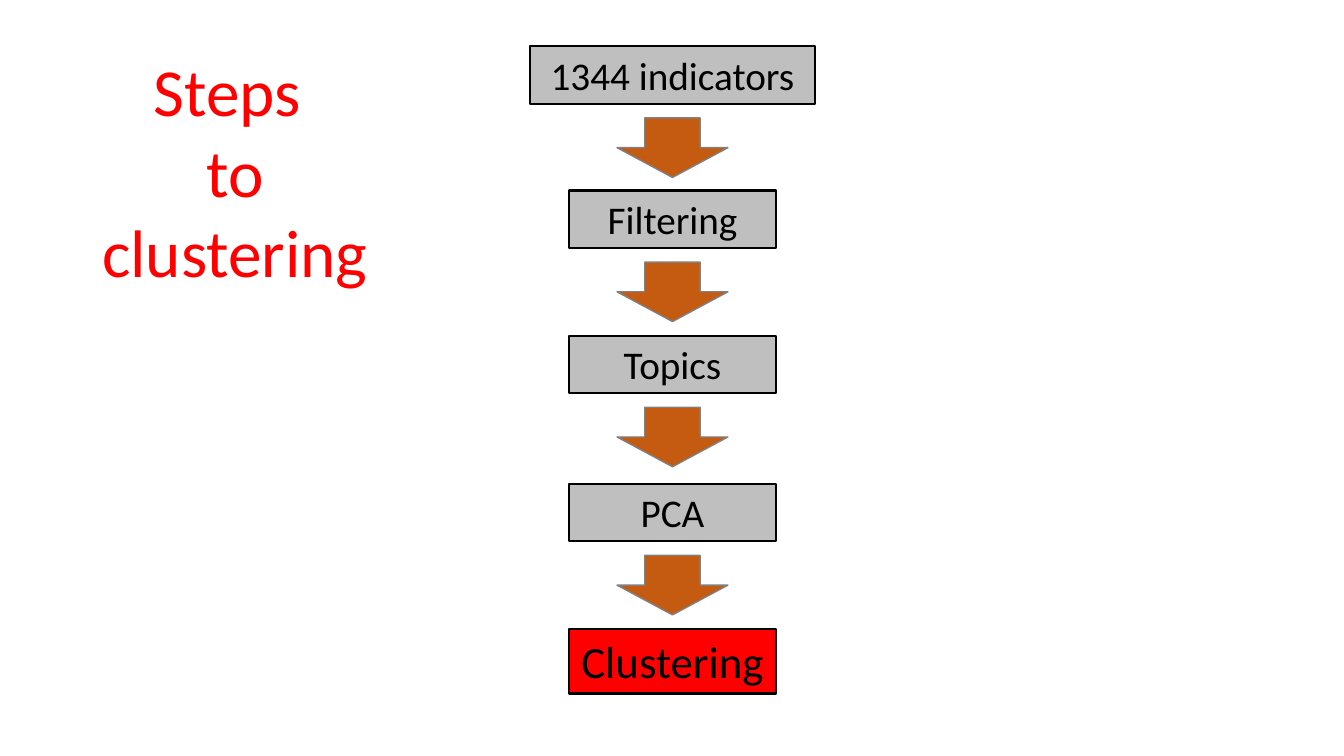
from pptx import Presentation
from pptx.dml.color import RGBColor as Rgb
from pptx.enum.shapes import MSO_SHAPE as Shape
from pptx.enum.text import MSO_ANCHOR as Anchor, PP_ALIGN as Align
from pptx.util import Inches, Pt

MID = 6.67  # centre line of the flow
GAP = 0.14  # space between a box and its arrow

# label, top, width, height, text size, fill
STEPS = [
    ("1344 indicators", 0.46, 2.83, 0.57, 28, "BFBFBF"),
    ("Filtering", 1.89, 2.05, 0.57, 28, "BFBFBF"),
    ("Topics", 3.33, 2.05, 0.57, 28, "BFBFBF"),
    ("PCA", 4.8, 2.05, 0.57, 28, "BFBFBF"),
    ("Clustering", 6.24, 2.05, 0.64, 32, "FF0000"),
]


def color(code):
    return Rgb.from_string(code)


def write(frame, lines, size, code):
    frame.word_wrap = False
    for i, line in enumerate(lines):
        para = frame.paragraphs[0] if i == 0 else frame.add_paragraph()
        para.text = line
        para.alignment = Align.CENTER
        para.font.name = "Calibri"
        para.font.size = Pt(size)
        para.font.color.rgb = color(code)


def add_form(slide, kind, top, width, height, fill, line, weight):
    """Add a preset shape centred on the flow line."""
    form = slide.shapes.add_shape(
        kind, Inches(MID - width / 2), Inches(top), Inches(width), Inches(height))
    form.shadow.inherit = False
    form.fill.solid()
    form.fill.fore_color.rgb = color(fill)
    form.line.color.rgb = color(line)
    form.line.width = Pt(weight)
    return form


def add_step(slide, label, top, width, height, size, fill):
    box = add_form(slide, Shape.RECTANGLE, top, width, height, fill, "000000", 1.5)
    box.text_frame.vertical_anchor = Anchor.TOP
    write(box.text_frame, [label], size, "000000")


def add_arrow(slide, top):
    add_form(slide, Shape.DOWN_ARROW, top, 1.1, 0.59, "C55A11", "808080", 1)


def add_title(slide):
    box = slide.shapes.add_textbox(Inches(0.9), Inches(0.44), Inches(2.86), Inches(2.52))
    write(box.text_frame, ["Steps ", "to", "clustering"], 48, "FF0000")


def main():
    deck = Presentation()
    deck.slide_width = Inches(13.33)
    deck.slide_height = Inches(7.5)
    slide = deck.slides.add_slide(deck.slide_layouts[6])

    add_title(slide)

    # Flow of steps
    for step in STEPS:
        add_step(slide, *step)

    # An arrow below every step but the last
    for _, top, _, height, _, _ in STEPS[:-1]:
        add_arrow(slide, top + height + GAP)

    deck.save("out.pptx")


if __name__ == "__main__":
    main()
